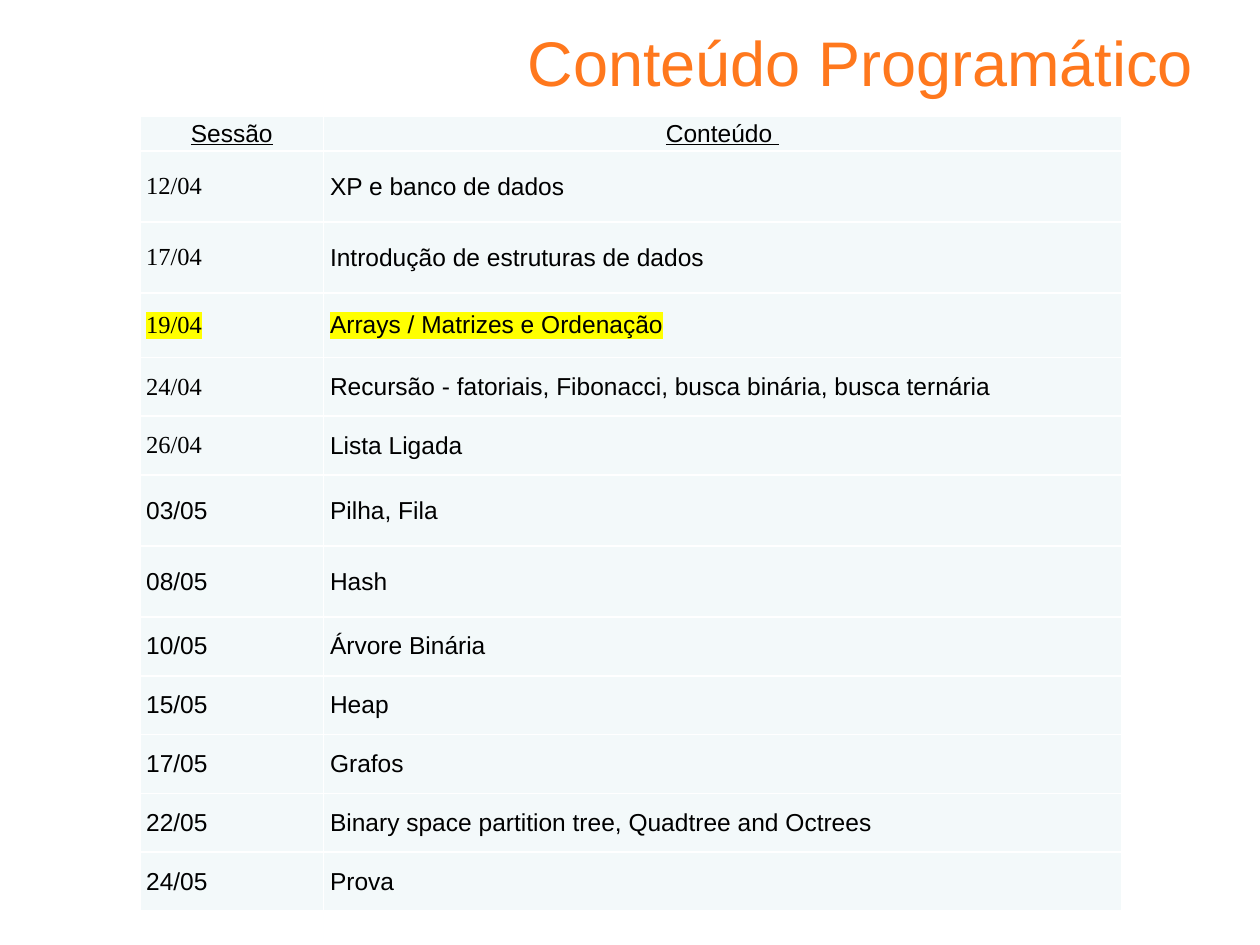
"""Builds the course schedule slide with a title and a session table."""
from lxml import etree
from pptx import Presentation
from pptx.dml.color import RGBColor
from pptx.enum import text
from pptx.oxml import ns
from pptx.util import Pt

ORANGE = RGBColor(0xFF, 0x78, 0x1D)
BLACK = RGBColor(0, 0, 0)
PALE = RGBColor(0xF3, 0xF9, 0xFA)
WHITE = RGBColor(0xFF, 0xFF, 0xFF)
YELLOW = RGBColor(0xFF, 0xFF, 0)
SERIF, SANS = "Times New Roman", "Arial"
ROWS = [
    ("Sessão", "Conteúdo ", 20.2, SANS),
    ("12/04", "XP e banco de dados", 40.6, SERIF),
    ("17/04", "Introdução de estruturas de dados", 40.6, SERIF),
    ("19/04", "Arrays / Matrizes e Ordenação", 36.7, SERIF),
    ("24/04", "Recursão - fatoriais, Fibonacci, busca binária, busca ternária", 33.6, SERIF),
    ("26/04", "Lista Ligada", 33.6, SERIF),
    ("03/05", "Pilha, Fila", 40.6, SANS),
    ("08/05", "Hash", 40.6, SANS),
    ("10/05", "Árvore Binária", 33.6, SANS),
    ("15/05", "Heap", 33.6, SANS),
    ("17/05", "Grafos", 33.6, SANS),
    ("22/05", "Binary space partition tree, Quadtree and Octrees", 33.6, SANS),
    ("24/05", "Prova", 33.6, SANS),
]
TODAY = "19/04"


def add_run(para, words, size, face, color):
    run = para.add_run()
    run.text = words
    run.font.size = Pt(size)
    run.font.name = face
    run.font.color.rgb = color
    return run


def add_color(node, color):
    etree.SubElement(node, ns.qn("a:srgbClr"), val=str(color))


deck = Presentation()
deck.slide_width, deck.slide_height = Pt(720), Pt(540)
slide = deck.slides.add_slide(deck.slide_layouts[5])

title = slide.shapes.title
title.left, title.top, title.width, title.height = Pt(172.8), Pt(10), Pt(516.2), Pt(50.4)
frame = title.text_frame
frame.word_wrap = True
frame.auto_size = text.MSO_AUTO_SIZE.NONE
frame.vertical_anchor = text.MSO_ANCHOR.TOP
para = frame.paragraphs[0]
para.alignment = text.PP_ALIGN.RIGHT
add_run(para, "Conteúdo Programático", 36, SANS, ORANGE)

high = sum(row[2] for row in ROWS)
table = slide.shapes.add_table(len(ROWS), 2, Pt(79.9), Pt(66.2), Pt(560.9), Pt(high)).table
table.columns[0].width, table.columns[1].width = Pt(105.1), Pt(455.8)

for i, (date, topic, tall, face) in enumerate(ROWS):
    table.rows[i].height = Pt(tall)
    for j, (words, font) in enumerate([(date, face), (topic, SANS)]):
        cell = table.cell(i, j)
        cell.fill.solid()
        cell.fill.fore_color.rgb = PALE
        cell.vertical_anchor = text.MSO_ANCHOR.MIDDLE
        cell.margin_left = cell.margin_right = Pt(3.6)
        cell.margin_top = cell.margin_bottom = Pt(0)
        para = cell.text_frame.paragraphs[0]
        para.alignment = text.PP_ALIGN.JUSTIFY if i else text.PP_ALIGN.CENTER
        run = add_run(para, words, 14, font, BLACK)
        run.font.bold = False
        run.font.underline = i == 0
        if date == TODAY:
            mark = etree.Element(ns.qn("a:highlight"))
            add_color(mark, YELLOW)
            run.font._element.find(ns.qn("a:solidFill")).addnext(mark)
        props = cell._tc.get_or_add_tcPr()
        for k, side in enumerate(["lnL", "lnR", "lnT", "lnB"]):
            line = etree.Element(ns.qn("a:" + side), w=str(Pt(1)))
            add_color(etree.SubElement(line, ns.qn("a:solidFill")), WHITE)
            props.insert(k, line)

deck.save("out.pptx")
